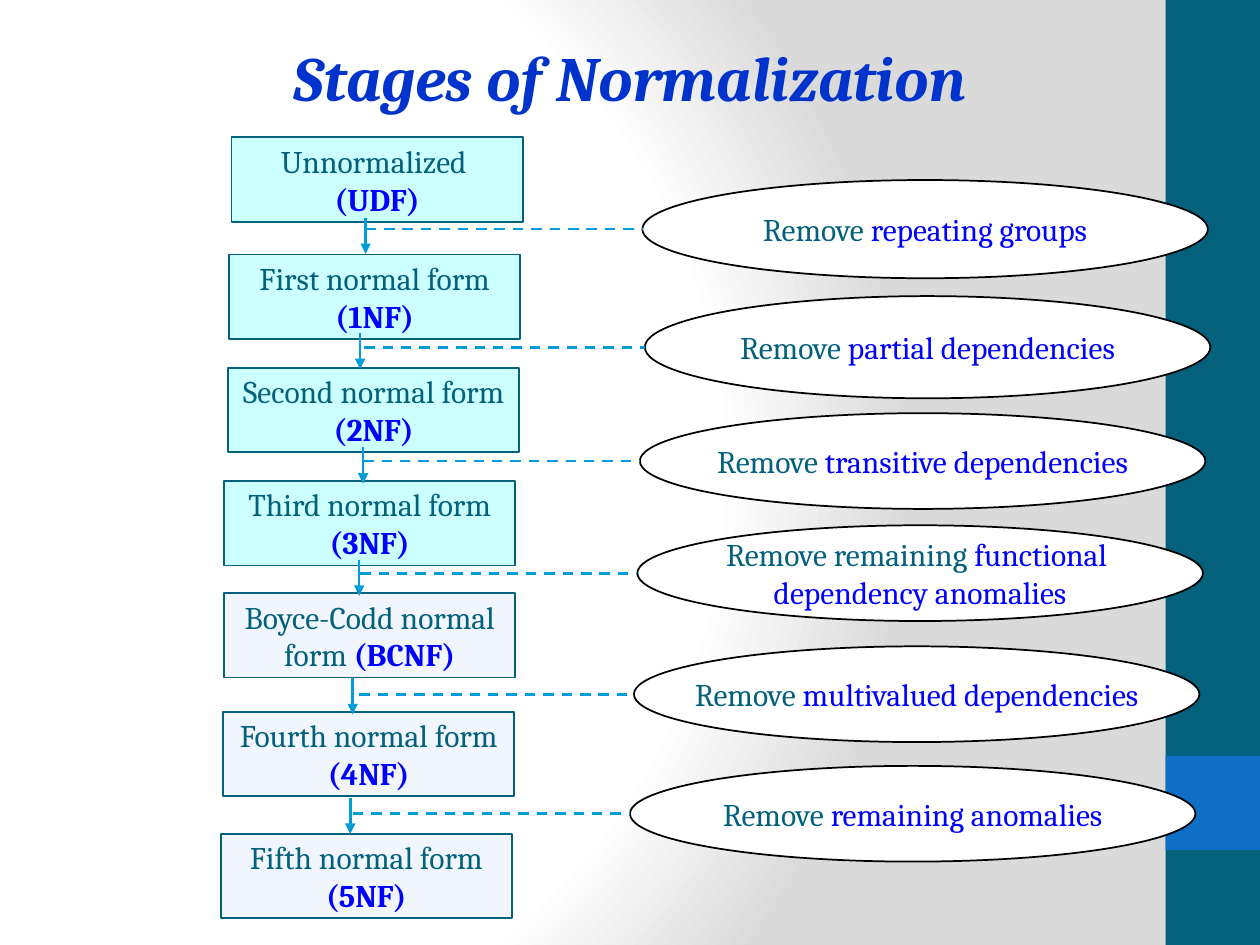
"""Build the slide that shows the stages of database normalization."""
from lxml import etree
from pptx import Presentation, util as u
from pptx.dml.color import RGBColor
from pptx.enum import dml, shapes, text
from pptx.oxml import parse_xml
from pptx.oxml.ns import nsdecls, qn

COLORS = {
    "title": "0033CC", "body": "04617B", "key": "0000FF", "arrow": "009DD9",
    "classic": "CCFFFF", "advanced": "F0F5FE", "white": "FFFFFF",
    "outline": "000000", "band": "04617B", "accent": "0F6FC6", "shade": "DADADA",
}
BOX_SIZE = (5.87, 1.7)
OVAL_WIDTH = 11.4
ARROW_LENGTH = 0.73

FORMS = [
    (4.67, 2.77, "classic", "Unnormalized ", "", "(UDF)"),
    (4.62, 5.13, "classic", "First normal form", "", "(1NF)"),
    (4.6, 7.42, "classic", "Second normal form", "", "(2NF)"),
    (4.52, 9.7, "classic", "Third normal form", "", "(3NF)"),
    (4.52, 11.96, "advanced", "Boyce-Codd normal", "form ", "(BCNF)"),
    (4.5, 14.35, "advanced", "Fourth normal form", "", "(4NF)"),
    (4.45, 16.81, "advanced", "Fifth normal form", "", "(5NF)"),
]

STEPS = [
    ((7.37, 4.39), 7.37, (12.95, 3.63, 1.98), "Remove ", ["repeating groups"]),
    ((7.26, 6.71), 7.34, (13.0, 5.97, 2.06), "Remove ", ["partial dependencies"]),
    ((7.32, 9.02), 7.32, (12.9, 8.33, 1.93), "Remove ", ["transitive dependencies"]),
    ((7.24, 11.28), 7.26, (12.85, 10.59, 1.93), "Remove remaining ",
     ["functional ", "dependency anomalies"]),
    ((7.11, 13.67), 7.24, (12.78, 13.03, 1.93), "Remove ", ["multivalued dependencies"]),
    ((7.06, 16.08), 7.11, (12.7, 15.44, 1.93), "Remove ", ["remaining anomalies"]),
]


class Deck:
    """Holds the style and the current slide."""

    def __init__(self, font="Cambria", size=18):
        self.font, self.size = font, size
        self.deck = Presentation()
        self.deck.slide_width, self.deck.slide_height = u.Cm(25.4), u.Cm(19.05)
        self.page = self.deck.slides.add_slide(self.deck.slide_layouts[6])

    def color(self, name):
        """Return the named colour."""
        return RGBColor.from_string(COLORS[name])

    def background(self):
        """Fill the page with a circular gradient."""
        self.page.background.fill.solid()
        stops = "".join(
            f'<a:gs pos="{place * 1000}"><a:srgbClr val="{COLORS[name]}"/></a:gs>'
            for place, name in ((0, "white"), (75, "white"), (100, "shade")))
        gradient = parse_xml(
            f'<a:gradFill {nsdecls("a")} rotWithShape="1"><a:gsLst>{stops}</a:gsLst>'
            '<a:path path="circle"><a:fillToRect l="20000" t="50000" r="100000" b="50000"/>'
            '</a:path></a:gradFill>')
        solid = next(self.page.element.iter(qn("a:solidFill")))
        solid.getparent().replace(solid, gradient)

    def label(self, box, paragraphs, size=None, italic=None):
        """Set centred paragraphs of (text, colour, bold) spans."""
        frame = box.text_frame
        frame.vertical_anchor = text.MSO_ANCHOR.MIDDLE
        for index, spans in enumerate(paragraphs):
            para = frame.add_paragraph() if index else frame.paragraphs[0]
            para.alignment = text.PP_ALIGN.CENTER
            for words, color, bold in spans:
                span = para.add_run()
                span.text = words
                span.font.name, span.font.size = self.font, u.Pt(size or self.size)
                span.font.bold, span.font.italic = bold, italic
                span.font.color.rgb = self.color(color)

    def shape(self, kind, place, fill, line=None, paragraphs=()):
        """Add a filled shape with optional outline and text."""
        box = self.page.shapes.add_shape(kind, *map(u.Cm, place))
        box.shadow.inherit = False
        box.fill.solid()
        box.fill.fore_color.rgb = self.color(fill)
        if line:
            box.line.color.rgb = self.color(line)
            box.line.width = u.Pt(1)
        else:
            box.line.fill.background()
        if paragraphs:
            box.text_frame.word_wrap = False
            self.label(box, paragraphs)

    def line(self, start, end, dashed=False):
        """Add a dashed line or a solid arrow."""
        line = self.page.shapes.add_connector(
            shapes.MSO_CONNECTOR.STRAIGHT, *map(u.Cm, start + end))
        line.line.color.rgb = self.color("arrow")
        line.line.width = u.Pt(1.5)
        properties = line.element.spPr
        if dashed:
            line.line.dash_style = dml.MSO_LINE.DASH
        else:
            etree.SubElement(properties.find(qn("a:ln")), qn("a:tailEnd"), type="triangle")
        etree.SubElement(properties, qn("a:effectLst"))

    def title(self, words):
        """Add the title across the top of the page."""
        box = self.page.shapes.add_textbox(0, 0, u.Cm(25.4), u.Cm(3.07))
        box.text_frame.word_wrap = True
        self.label(box, [[(words, "title", True)]], size=36, italic=True)

    def form(self, left, top, fill, name, lead, code):
        """Add the box of one normal form."""
        last = [(lead, "body", False)] if lead else []
        self.shape(shapes.MSO_SHAPE.RECTANGLE, (left, top, *BOX_SIZE), fill, "body",
                   [[(name, "body", False)], last + [(code, "key", True)]])

    def step(self, start, branch, oval, verb, targets):
        """Add an arrow and the oval that says what the step removes."""
        left, top, height = oval
        x, y = start
        self.line(start, (x, y + ARROW_LENGTH))
        rows = [[(target, "key", False)] for target in targets]
        rows[0].insert(0, (verb, "body", False))
        self.shape(shapes.MSO_SHAPE.OVAL, (left, top, OVAL_WIDTH, height),
                   "white", "outline", rows)
        middle = top + height / 2
        self.line((branch, middle), (left, middle), dashed=True)


def main():
    """Build and save the slide."""
    deck = Deck()
    deck.background()
    deck.shape(shapes.MSO_SHAPE.RECTANGLE, (23.5, 0, 1.9, 19.05), "band")
    deck.shape(shapes.MSO_SHAPE.RECTANGLE, (23.5, 15.24, 1.9, 1.9), "accent")
    deck.form(*FORMS[0])
    for form, step in zip(FORMS[1:], STEPS):
        deck.form(*form)
        deck.step(*step)
    deck.title("Stages of Normalization")
    deck.deck.save("out.pptx")


if __name__ == "__main__":
    main()
